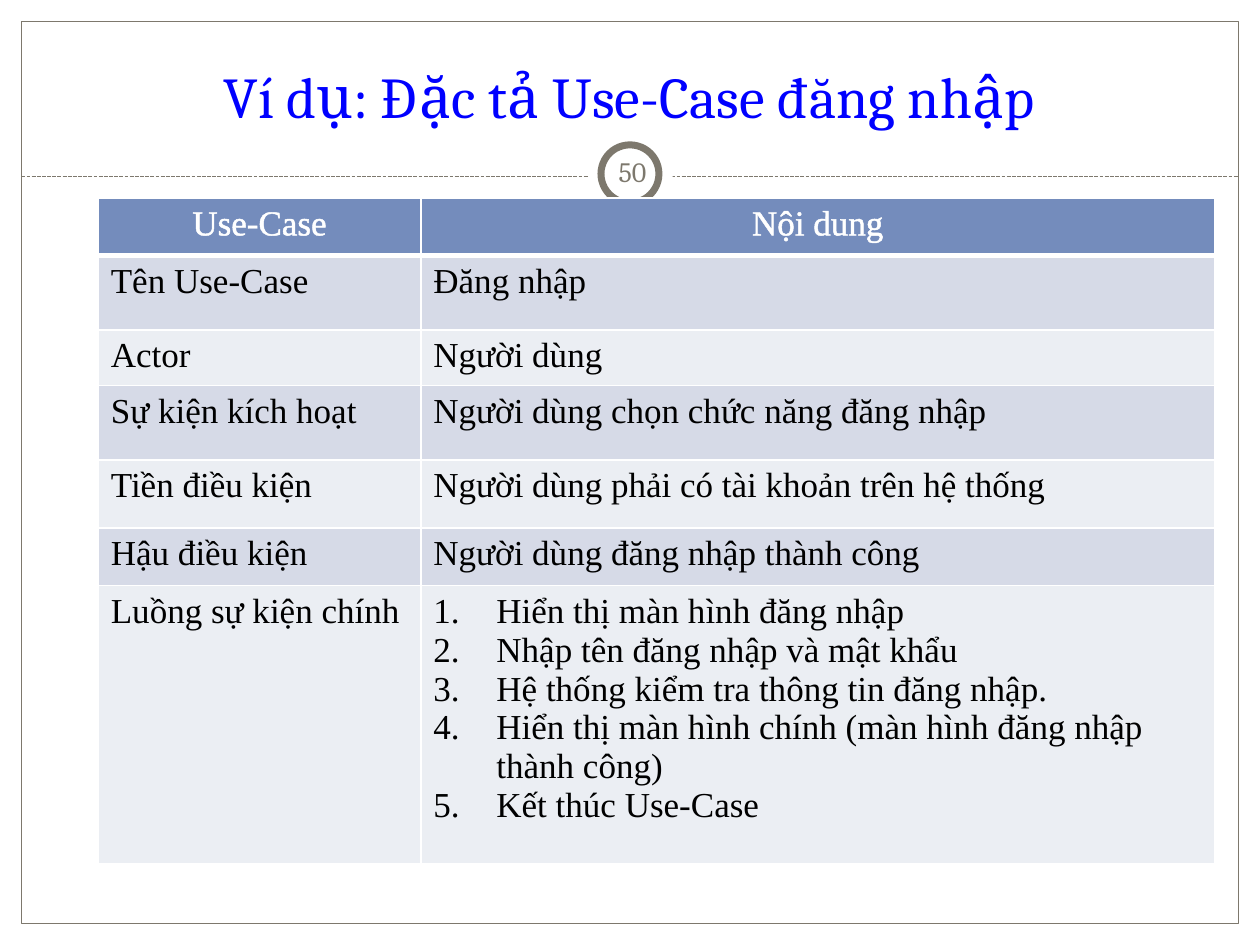
from pptx import Presentation
from pptx.dml.color import RGBColor
from pptx.enum.dml import MSO_LINE
from pptx.enum.shapes import MSO_CONNECTOR, MSO_SHAPE
from pptx.enum.text import MSO_ANCHOR, PP_ALIGN
from pptx.oxml import parse_xml
from pptx.oxml.ns import nsdecls
from pptx.util import Inches, Pt

WHITE = RGBColor(0xFF, 0xFF, 0xFF)
BLACK = RGBColor(0x00, 0x00, 0x00)
BLUE = RGBColor(0x00, 0x00, 0xFF)
GREY = RGBColor(0x7D, 0x78, 0x6D)
HEADER_FILL = RGBColor(0x74, 0x8C, 0xBC)
BAND_FILLS = (RGBColor(0xEB, 0xEE, 0xF3), RGBColor(0xD6, 0xDA, 0xE7))

COLUMN_WIDTHS = (2.56, 6.3)
ROW_HEIGHTS = (0.46, 0.59, 0.44, 0.59, 0.54, 0.46, 2.21)
MAIN_FLOW = (
    "Hiển thị màn hình đăng nhập",
    "Nhập tên đăng nhập và mật khẩu",
    "Hệ thống kiểm tra thông tin đăng nhập.",
    "Hiển thị màn hình chính (màn hình đăng nhập thành công)",
    "Kết thúc Use-Case",
)
USE_CASE_ROWS = (
    ("Use-Case", "Nội dung"),
    ("Tên Use-Case", "Đăng nhập"),
    ("Actor", "Người dùng"),
    ("Sự kiện kích hoạt", "Người dùng chọn chức năng đăng nhập"),
    ("Tiền điều kiện", "Người dùng phải có tài khoản trên hệ thống"),
    ("Hậu điều kiện", "Người dùng đăng nhập thành công"),
    ("Luồng sự kiện chính", MAIN_FLOW),
)


def drawing_xml(tag, attributes="", content=""):
    return parse_xml(f"<a:{tag} {nsdecls('a')} {attributes}>{content}</a:{tag}>")


def solid_xml(color):
    return f'<a:solidFill><a:srgbClr val="{color}"/></a:solidFill>'


class SlideBuilder:
    title_font = {"name": "Cambria", "size": Pt(33)}
    number_font = {"name": "Cambria", "size": Pt(16)}
    table_font = {"name": "Times New Roman", "size": Pt(20), "bold": False}

    def __init__(self, slide):
        self.slide = slide

    def add_text(self, paragraph, text, font, color, align=PP_ALIGN.LEFT):
        paragraph.alignment = align
        run = paragraph.add_run()
        run.text = text
        for attribute, value in font.items():
            setattr(run.font, attribute, value)
        run.font.color.rgb = color
        return run

    def title(self, text, *box):
        heading = self.slide.shapes.title
        for side, length in zip(("left", "top", "width", "height"), box):
            setattr(heading, side, Inches(length))
        frame = heading.text_frame
        frame.vertical_anchor = MSO_ANCHOR.BOTTOM
        self.add_text(frame.paragraphs[0], text, self.title_font, BLUE, PP_ALIGN.CENTER)

    def shape(self, kind, *box, fill=None, line_width=None):
        shape = self.slide.shapes.add_shape(kind, *map(Inches, box))
        shape.shadow.inherit = False
        if fill is None:
            shape.fill.background()
        else:
            shape.fill.solid()
            shape.fill.fore_color.rgb = fill
        if line_width is None:
            shape.line.fill.background()
        else:
            shape.line.color.rgb = GREY
            shape.line.width = Pt(line_width)

    def dashed_rule(self, left, right, y):
        rule = self.slide.shapes.add_connector(
            MSO_CONNECTOR.STRAIGHT, Inches(left), Inches(y), Inches(right), Inches(y))
        rule.line.color.rgb = GREY
        rule.line.width = Pt(0.75)
        rule.line.dash_style = MSO_LINE.SQUARE_DOT
        rule._element.spPr.append(drawing_xml("effectLst"))

    def page_number(self, text, *box):
        frame = self.slide.shapes.add_textbox(*map(Inches, box)).text_frame
        settings = {"word_wrap": True, "vertical_anchor": MSO_ANCHOR.MIDDLE}
        settings.update({f"margin_{side}": Inches(0.05)
                         for side in ("left", "top", "right", "bottom")})
        for attribute, value in settings.items():
            setattr(frame, attribute, value)
        self.add_text(frame.paragraphs[0], text, self.number_font, GREY, PP_ALIGN.CENTER)

    def cell(self, cell, content, row):
        is_header = row == 0
        properties = cell._tc.get_or_add_tcPr()
        for side in "LRTB":
            width = Pt(3 if is_header and side == "B" else 1)
            properties.append(drawing_xml(f"ln{side}", f'w="{width}"', solid_xml(WHITE)))
        cell.fill.solid()
        cell.fill.fore_color.rgb = HEADER_FILL if is_header else BAND_FILLS[row % 2]
        frame = cell.text_frame
        if isinstance(content, str):
            color = WHITE if is_header else BLACK
            align = PP_ALIGN.CENTER if is_header else PP_ALIGN.LEFT
            run = self.add_text(frame.paragraphs[0], content, self.table_font, color, align)
            if is_header:
                outline = drawing_xml("ln", f'w="{Pt(0.75)}"', solid_xml(WHITE))
                run._r.get_or_add_rPr().insert(0, outline)
            return
        for index, step in enumerate(content):
            paragraph = frame.add_paragraph() if index else frame.paragraphs[0]
            indent = paragraph._p.get_or_add_pPr()
            indent.set("marL", str(Inches(0.5)))
            indent.set("indent", str(-Inches(0.5)))
            indent.append(drawing_xml("buFont", 'typeface="+mj-lt"'))
            indent.append(drawing_xml("buAutoNum", 'type="arabicPeriod"'))
            self.add_text(paragraph, step, self.table_font, BLACK)

    def table(self, rows, left, top):
        size = (sum(COLUMN_WIDTHS), sum(ROW_HEIGHTS))
        table = self.slide.shapes.add_table(
            len(rows), len(COLUMN_WIDTHS), *map(Inches, (left, top, *size))).table
        for column, width in zip(table.columns, COLUMN_WIDTHS):
            column.width = Inches(width)
        for index, (height, contents) in enumerate(zip(ROW_HEIGHTS, rows)):
            table.rows[index].height = Inches(height)
            for column, content in enumerate(contents):
                self.cell(table.cell(index, column), content, index)


def main():
    presentation = Presentation()
    presentation.slide_width = Inches(10)
    presentation.slide_height = Inches(7.5)
    builder = SlideBuilder(presentation.slides.add_slide(presentation.slide_layouts[5]))
    builder.title("Ví dụ: Đặc tả Use-Case đăng nhập", 0.33, 0.25, 9.33, 0.83)
    builder.shape(MSO_SHAPE.RECTANGLE, 0.17, 0.17, 9.66, 7.16, line_width=0.75)
    builder.dashed_rule(0.17, 9.83, 1.4)
    builder.shape(MSO_SHAPE.OVAL, 4.67, 1.05, 0.67, 0.67, fill=WHITE)
    builder.shape(MSO_SHAPE.OVAL, 4.77, 1.15, 0.46, 0.46, fill=WHITE, line_width=4)
    builder.table(USE_CASE_ROWS, 0.78, 1.57)
    builder.page_number("50", 4.77, 1.12, 0.5, 0.48)
    presentation.save("out.pptx")


if __name__ == "__main__":
    main()
